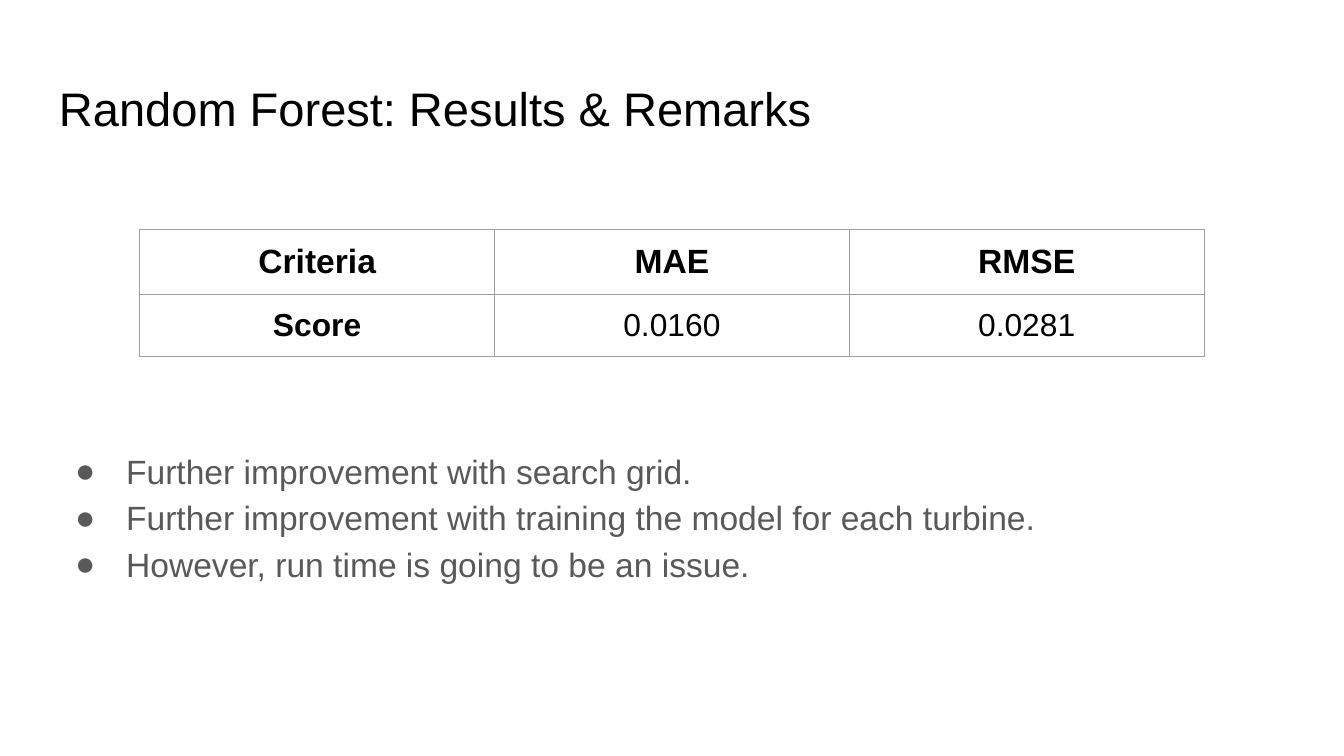
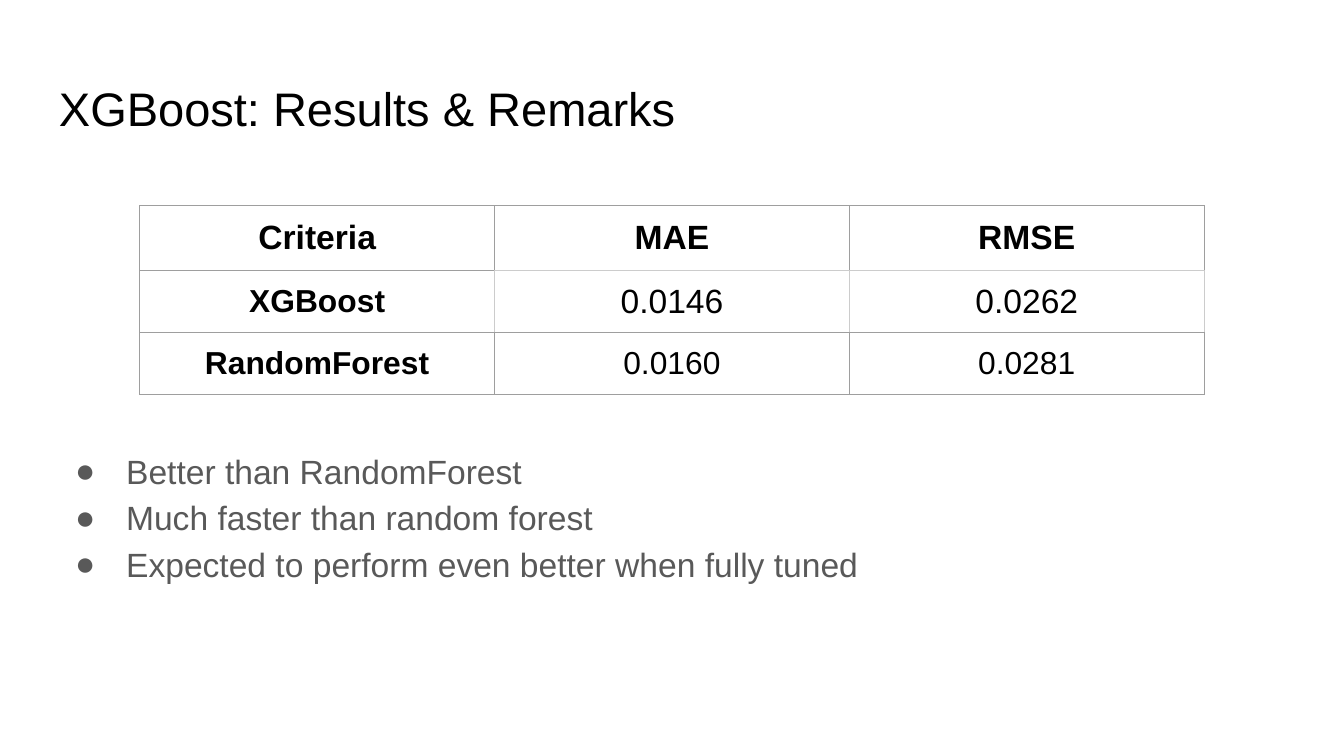
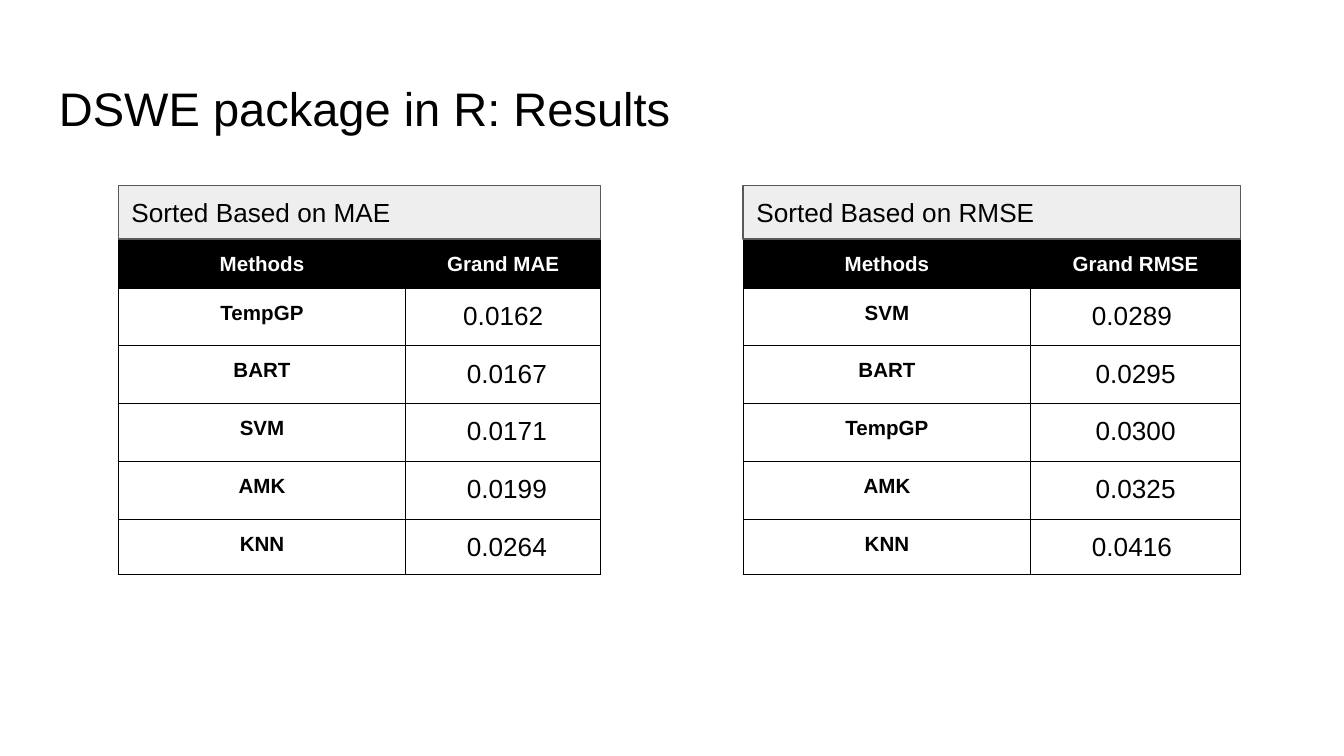
from lxml.etree import SubElement
from pptx import Presentation
from pptx.dml.color import RGBColor
from pptx.enum.shapes import MSO_SHAPE as Shape
from pptx.enum.text import MSO_ANCHOR as Anchor, PP_ALIGN as Align
from pptx.oxml.ns import qn
from pptx.util import Inches, Pt

BLACK, WHITE, GREY = "000000", "FFFFFF", "595959"
EDGE, LIGHT, BAND = "9E9E9E", "CCCCCC", "EEEEEE"
FONT = "Arial"


def color(code):
    return RGBColor.from_string(code)


def mark(props, code, size):
    props.set("marL", str(Inches(0.5)))
    props.set("indent", str(Inches(-0.38)))
    tint = SubElement(props, qn("a:buClr"))
    SubElement(tint, qn("a:srgbClr"), val=code)
    SubElement(props, qn("a:buSzPts"), val=str(size * 100))
    SubElement(props, qn("a:buFont"), typeface=FONT)
    SubElement(props, qn("a:buChar"), char="●")


def write(frame, text, size=18, tint=BLACK, bold=False, align=Align.LEFT,
          space=None, bullet=False):
    for n, line in enumerate(text.split("\n")):
        para = frame.add_paragraph() if n else frame.paragraphs[0]
        para.alignment = align
        if space:
            para.line_spacing = space
        if bullet:
            mark(para._p.get_or_add_pPr(), tint, size)
        run = para.add_run()
        run.text = line
        font = run.font
        font.name, font.size, font.bold = FONT, Pt(size), bold
        font.color.rgb = color(tint)


def inset(item, side=0.1, top=0.1, end=0.1):
    item.margin_left = item.margin_right = Inches(side)
    item.margin_top, item.margin_bottom = Inches(top), Inches(end)


def border(cell, sides):
    props = cell._tc.get_or_add_tcPr()
    for side, code in sides.items():
        line = SubElement(props, qn(f"a:ln{side}"), w=str(Pt(0.75)))
        fill = SubElement(line, qn("a:solidFill"))
        SubElement(fill, qn("a:srgbClr"), val=code)


class Deck:
    def __init__(self):
        self.file = Presentation()
        self.file.slide_width = Inches(10)
        self.file.slide_height = Inches(10) * 9 // 16

    def page(self, title):
        self.slide = self.file.slides.add_slide(self.file.slide_layouts[6])
        fill = self.slide.background.fill
        fill.solid()
        fill.fore_color.rgb = color(WHITE)
        self.text(title, 0.49, 0.63, size=25.2)

    def text(self, words, top, height, **form):
        box = self.slide.shapes.add_textbox(
            Inches(0.34), Inches(top), Inches(9.32), Inches(height))
        frame = box.text_frame
        frame.word_wrap = True
        inset(frame)
        write(frame, words, **form)

    def points(self, words):
        self.text(words, 3.21, 1.79, tint=GREY, space=1.15, bullet=True)

    def band(self, words, left, width):
        box = self.slide.shapes.add_shape(
            Shape.RECTANGLE, Inches(left), Inches(1.38), Inches(width), Inches(0.4))
        box.shadow.inherit = False
        box.fill.solid()
        box.fill.fore_color.rgb = color(BAND)
        box.line.color.rgb = color(GREY)
        box.line.width = Pt(0.75)
        frame = box.text_frame
        frame.word_wrap = True
        frame.vertical_anchor = Anchor.MIDDLE
        inset(frame)
        write(frame, words, size=14)

    def table(self, data, left, top, cols, rows, edge, style, faint=(), head=None):
        table = self.slide.shapes.add_table(
            len(rows), len(cols), Inches(left), Inches(top),
            Inches(sum(cols)), Inches(sum(rows))).table
        table.first_row = table.horz_banding = False
        for col, width in zip(table.columns, cols):
            col.width = Inches(width)
        for row, height in zip(table.rows, rows):
            row.height = Inches(height)

        def shade(*spots):
            return LIGHT if any(spot in faint for spot in spots) else edge

        for r, line in enumerate(data):
            for c, words in enumerate(line):
                cell, spot = table.cell(r, c), (r, c)
                inset(cell, end=0.08)
                if spot in faint:
                    inset(cell, 0.03, 0.02, 0.02)
                    cell.vertical_anchor = Anchor.MIDDLE
                border(cell, {"L": shade(spot, (r, c - 1)),
                              "R": shade(spot, (r, c + 1)),
                              "T": shade(spot), "B": shade((r + 1, c))})
                if head and r == 0:
                    cell.fill.solid()
                    cell.fill.fore_color.rgb = color(head)
                else:
                    cell.fill.background()
                write(cell.text_frame, words, align=Align.CENTER,
                      bold=r == 0 or c == 0, **style(r, c))

    def scores(self, data, top, faint=()):
        def style(r, c):
            return {"size": 18 if r == 0 or (r, c) in faint else 17}

        self.table(data, 1.04, top, [2.64] * 3, [0.42] * len(data), EDGE,
                   style, faint)

    def ranks(self, name, left, cols, data):
        def style(r, c):
            return {"size": 14 if r and c else 11, "tint": BLACK if r else WHITE}

        self.table([("Methods", f"Grand {name}")] + data, left, 1.78, cols,
                   [0.21] + [0.43] * 4 + [0.21], BLACK, style, head=BLACK)


def main():
    deck = Deck()
    top = ("Criteria", "MAE", "RMSE")
    forest = ("0.0160", "0.0281")

    deck.page("Random Forest: Results & Remarks")
    deck.points("Further improvement with search grid.\n"
                "Further improvement with training the model for each turbine.\n"
                "However, run time is going to be an issue.")
    deck.scores([top, ("Score", *forest)], 1.71)

    deck.page("XGBoost: Results & Remarks")
    deck.points("Better than RandomForest\n"
                "Much faster than random forest\n"
                "Expected to perform even better when fully tuned")
    deck.scores([top, ("XGBoost", "0.0146", "0.0262"), ("RandomForest", *forest)],
                1.53, faint={(1, 1), (1, 2)})

    deck.page("DSWE package in R: Results")
    sorts = [
        ("MAE", 0.88, [2.14, 1.45], [
            ("TempGP", "0.0162"), ("BART", " 0.0167"), ("SVM", " 0.0171"),
            ("AMK", " 0.0199"), ("KNN", " 0.0264")]),
        ("RMSE", 5.53, [2.14, 1.56], [
            ("SVM", "0.0289 "), ("BART", "0.0295"), ("TempGP", "0.0300"),
            ("AMK", "0.0325"), ("KNN", "0.0416 ")])]
    for sort in sorts:
        deck.ranks(*sort)
    for name, left, cols, _ in sorts:
        deck.band(f"Sorted Based on {name}", left, sum(cols))

    deck.file.save("out.pptx")


if __name__ == "__main__":
    main()
